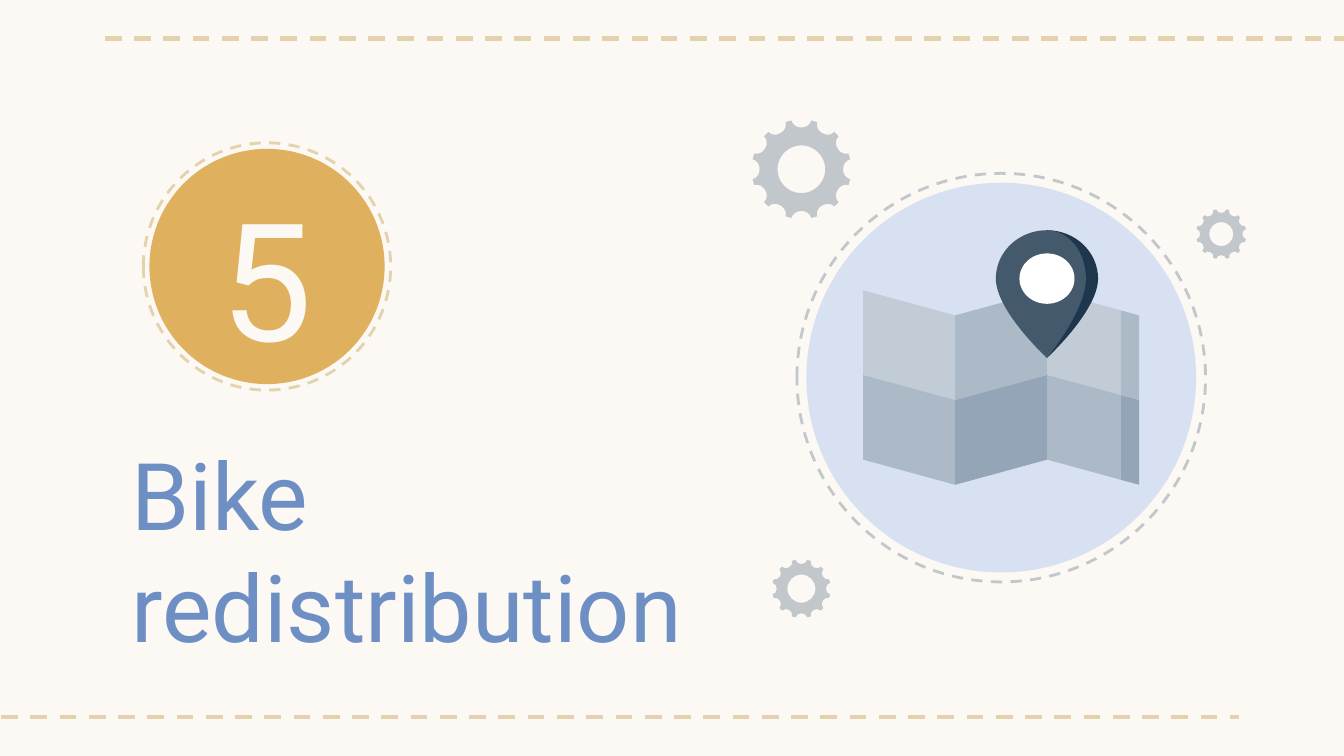
from math import cos, pi, sin

from lxml.etree import SubElement
from pptx import Presentation
from pptx.dml.color import RGBColor
from pptx.enum.dml import MSO_LINE_DASH_STYLE as Dash
from pptx.enum.shapes import MSO_CONNECTOR_TYPE as Connector, MSO_SHAPE as Shape
from pptx.enum.text import MSO_ANCHOR as Anchor, PP_ALIGN as Align
from pptx.oxml.ns import qn
from pptx.util import Inches, Pt

COLORS = {
    "paper": "FCF8F4", "sand": "E4D1AD", "gold": "DFB05E", "blue": "6E8FC3",
    "sky": "D8E1F1", "gray": "C2C7CC", "white": "FFFFFF",
    "map_light": "C2CCD6", "map_mid": "ACB9C7", "map_dark": "94A5B7",
    "pin": "45596C", "pin_shade": "1F374D",
}
COLUMNS, ROWS = 100, 56.25
CELL = Inches(0.1)
ARC = 0.55  # Bezier handle length for a quarter circle of radius 1


def color(name):
    return RGBColor.from_string(COLORS[name])


def cells(*lengths):
    """Turn grid columns or rows into slide lengths."""
    return [round(length * CELL) for length in lengths]


def bend(shape):
    """Join each three straight segments of an outline into one Bezier curve."""
    lines = list(shape._element.iter(qn("a:lnTo")))
    for first, second, third in zip(lines[::3], lines[1::3], lines[2::3]):
        first.tag = qn("a:cubicBezTo")
        for line in (second, third):
            first.append(line[0])
            line.getparent().remove(line)


def write(frame, text, size, ink, font="Roboto", align=Align.LEFT, anchor=Anchor.TOP):
    frame.word_wrap = True
    frame.vertical_anchor = anchor
    frame.margin_left = frame.margin_right = CELL
    frame.margin_top = frame.margin_bottom = CELL
    para = frame.paragraphs[0]
    para.alignment = align
    span = para.add_run()
    span.text = text
    span.font.name = font
    span.font.size = Pt(size)
    span.font.color.rgb = color(ink)


class Canvas:
    def __init__(self, page):
        self.page = page
        page.background.fill.solid()
        page.background.fill.fore_color.rgb = color("paper")

    def stroke(self, line, ink, width):
        line.color.rgb = color(ink)
        line.width = Pt(width)
        line.dash_style = Dash.DASH

    def paint(self, shape, fill):
        shape.shadow.inherit = False
        shape.fill.solid()
        shape.fill.fore_color.rgb = color(fill)
        shape.line.fill.background()

    def rule(self, left, right, row):
        line = self.page.shapes.add_connector(
            Connector.STRAIGHT, *cells(left, row, right, row))
        self.stroke(line.line, "sand", 2.25)
        SubElement(line._element.spPr, qn("a:effectLst"))

    def ellipse(self, x, y, width, height, fill):
        """Filled ellipse centred on x, y."""
        oval = self.page.shapes.add_shape(
            Shape.OVAL, *cells(x - width / 2, y - height / 2, width, height))
        self.paint(oval, fill)
        return oval

    def badge(self, x, y, size, ring_size, fill, ring_ink):
        """Disc with a dashed ring around it."""
        ring = self.ellipse(x, y, ring_size, ring_size, fill)
        ring.fill.background()
        self.stroke(ring.line, ring_ink, 1.5)
        self.ellipse(x, y, size, size, fill)

    def text(self, x, y, width, height, text, **style):
        box = self.page.shapes.add_textbox(*cells(x, y, width, height))
        write(box.text_frame, text, **style)

    def outline(self, fill, *contours, curved=False):
        """Closed contours; when curved, points are a start and Bezier triples."""
        builder = self.page.shapes.build_freeform(*cells(*contours[0][0]))
        for contour in contours:
            if contour is not contours[0]:
                builder.move_to(*cells(*contour[0]))
            builder.add_line_segments([cells(*point) for point in contour[1:]], close=False)
            if not curved:
                builder.add_line_segments([cells(*contour[0])], close=True)
        shape = builder.convert_to_shape()
        if curved:
            bend(shape)
        self.paint(shape, fill)

    def gear(self, x, y, radius, notches=12):
        pitch, half_notch, depth = 2 * pi / notches, 0.2, 0.16
        gap = pitch - 2 * half_notch

        def at(angle, share):
            return x + radius * share * cos(angle), y + radius * share * sin(angle)

        notch_curve = [(-1, ARC), (-ARC, 1), (0, 1), (ARC, 1), (1, ARC), (1, 0)]
        rim = [at(-half_notch, 1)]
        for notch in range(notches):
            middle = notch * pitch
            rim += [at(middle + half_notch * across, 1 - depth * down)
                    for across, down in notch_curve]
            rim += [at(middle + half_notch + gap * part / 3, 1) for part in (1, 2, 3)]

        inner = 0.48 * radius
        hole = [(x + inner, y)]
        for quarter in range(4):
            c, s = cos(quarter * pi / 2), sin(quarter * pi / 2)
            hole += [(x + inner * (a * c - b * s), y - inner * (a * s + b * c))
                     for a, b in [(1, ARC), (ARC, 1), (0, 1)]]
        self.outline("gray", rim, hole, curved=True)

    def folded_map(self, left, top, panel, drop, height):
        """Three folded panels in two rows, with a darker strip at the right edge."""
        def edge(fold):
            low = fold % 2 if fold <= 2 else fold - 2
            return left + fold * panel, top + low * drop

        strips = [(0, 1, 0), (1, 2, 1), (2, 2.8, 0), (2.8, 3, 1)]
        shades = ["map_light", "map_mid", "map_dark"]
        for start, end, shade in strips:
            (x1, y1), (x2, y2) = edge(start), edge(end)
            for row in (0, 1):
                upper, lower = row * height, (row + 1) * height
                self.outline(shades[shade + row], [
                    (x1, y1 + upper), (x2, y2 + upper), (x2, y2 + lower), (x1, y1 + lower)])

    def pin(self, x, top):
        tip = (x, top + 9.5)

        def side(reach):
            """Curve of one side of the pin, from its top down to its tip."""
            return [(x, top), (x + ARC * reach, top), (x + reach, top + 1.6),
                    (x + reach, top + 3.6), (x + reach, top + 6), tip, tip]

        spine = [(x, top + 6.3), (x, top + 3.2), (x, top)]
        self.outline("pin_shade", side(3.8) + spine, curved=True)
        self.outline("pin", side(-3.8) + side(2.9)[-2::-1], curved=True)
        self.ellipse(x, top + 3.6, 4.1, 3.75, "white")


def main():
    deck = Presentation()
    deck.slide_width, deck.slide_height = cells(COLUMNS, ROWS)
    canvas = Canvas(deck.slides.add_slide(deck.slide_layouts[6]))

    canvas.rule(7.8, 102.1, 2.86)
    canvas.rule(-2.1, 92.2, 53.36)
    canvas.badge(19.87, 19.83, 17.5, 18.4, "gold", "sand")
    canvas.badge(74.5, 28.1, 29, 30.4, "sky", "gray")
    canvas.text(8.8, 31.5, 51.3, 9.2, "Bike redistribution", size=50, ink="blue")
    canvas.text(10, 11.55, 19.7, 18, "5", size=88, ink="paper",
                align=Align.CENTER, anchor=Anchor.MIDDLE)
    for x, y, radius in [(59.63, 12.6, 3.7), (90.87, 17.42, 1.87), (59.63, 43.8, 2.18)]:
        canvas.gear(x, y, radius)
    canvas.folded_map(64.23, 21.6, panel=6.84, drop=1.87, height=6.3)
    canvas.pin(77.9, 17.13)

    deck.save("out.pptx")


if __name__ == "__main__":
    main()
